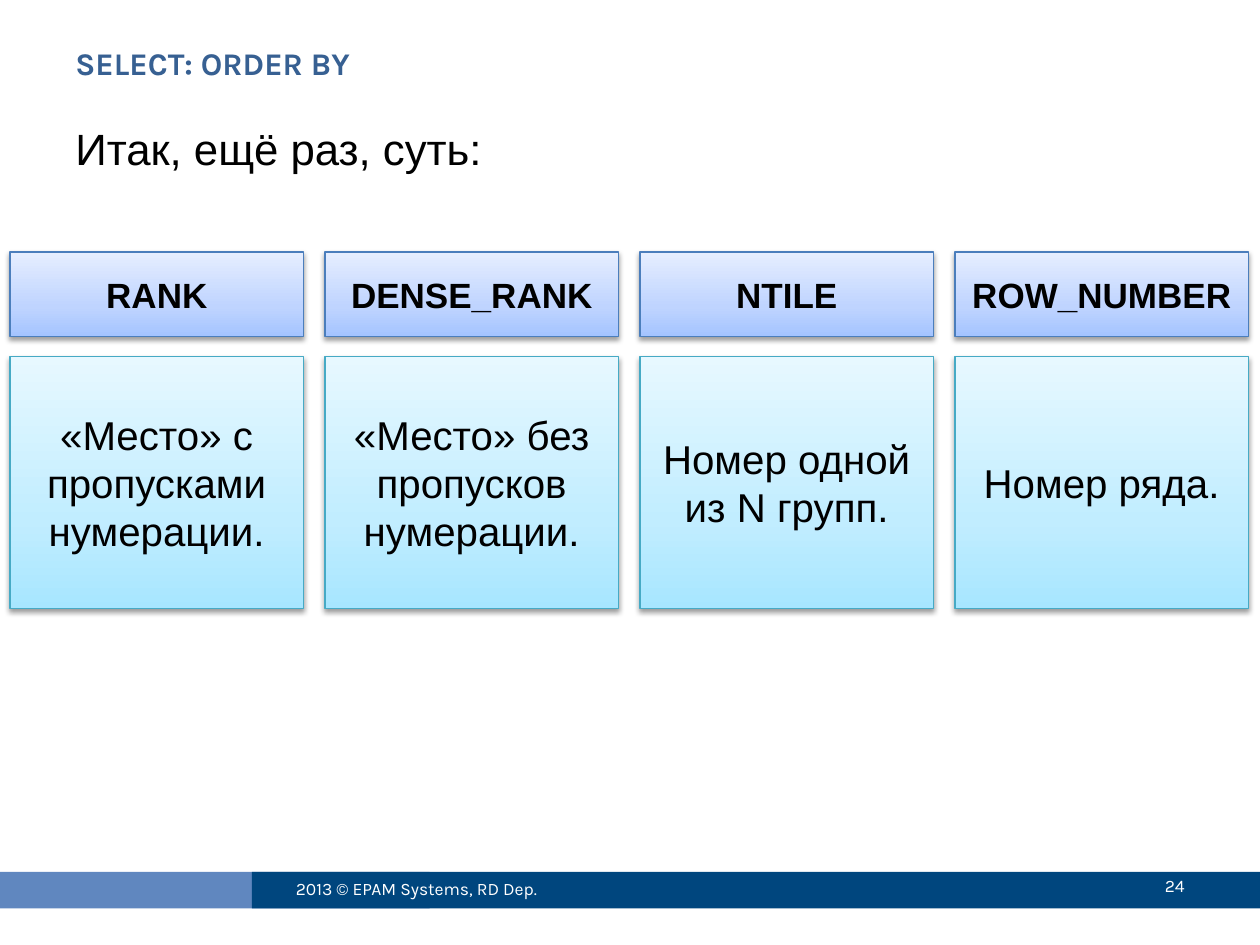
from copy import deepcopy

from lxml import etree
from pptx import Presentation
from pptx.dml import color
from pptx.enum import shapes, text
from pptx.oxml import ns
from pptx.util import Inches, Pt


def rgb(value):
    return color.RGBColor.from_string(value)


def write(shape, wording, size, font, ink, bold=False,
          align=text.PP_ALIGN.LEFT, anchor=text.MSO_ANCHOR.MIDDLE):
    frame = shape.text_frame
    frame.word_wrap = True
    frame.vertical_anchor = anchor
    frame.text = wording
    paragraph = frame.paragraphs[0]
    paragraph.alignment = align
    run = paragraph.runs[0]
    run.font.size = Pt(size)
    run.font.name = font
    run.font.bold = bold
    run.font.color.rgb = rgb(ink)


presentation = Presentation()
presentation.slide_width = Inches(10)
presentation.slide_height = Inches(7.5)
slide = presentation.slides.add_slide(presentation.slide_layouts[6])

for left, width, band_color in [(-0.02, 3.43, "6087BF"), (2, 8, "00467E")]:
    band = slide.shapes.add_shape(shapes.MSO_SHAPE.RECTANGLE, Inches(left),
                                  Inches(6.92), Inches(width), Inches(0.29))
    band.shadow.inherit = False
    band.fill.solid()
    band.fill.fore_color.rgb = rgb(band_color)
    band.line.fill.background()

top, middle = text.MSO_ANCHOR.TOP, text.MSO_ANCHOR.MIDDLE
to_left, to_right = text.PP_ALIGN.LEFT, text.PP_ALIGN.RIGHT
labels = [
    ("SELECT: ORDER BY", (0.5, 0.3, 9, 0.78), 18, "Karla", "376092", True, to_left, top),
    ("2013 © EPAM Systems, RD Dep.", (2.25, 6.85, 2.67, 0.4), 10, "Karla", "FFFFFF", False, to_left, middle),
    ("24", (8.42, 6.83, 1.08, 0.4), 10, "Karla", "FFFFFF", False, to_right, middle),
    ("Итак, ещё раз, суть:", (0.5, 0.92, 9.08, 0.52), 25, "Arial", "000000", False, to_left, top),
]
for wording, place, *style in labels:
    label = slide.shapes.add_textbox(*[Inches(length) for length in place])
    write(label, wording, *style)

functions = [
    ("RANK", "«Место» с пропусками нумерации."),
    ("DENSE_RANK", "«Место» без пропусков нумерации."),
    ("NTILE", "Номер одной из N групп."),
    ("ROW_NUMBER", "Номер ряда."),
]
rows = [
    (2, 0.67, 20, True, "4B7EBC", ["A4C4FF", "BFD4FF", "E6EEFF"]),
    (2.83, 2, 23, False, "46AAC5", ["A7E6FF", "C1EDFF", "E7F8FF"]),
]
for column, wordings in enumerate(functions):
    for wording, (y, height, size, bold, border, shades) in zip(wordings, rows):
        card = slide.shapes.add_shape(shapes.MSO_SHAPE.FLOWCHART_PROCESS,
                                      Inches(0.08 + 2.5 * column), Inches(y),
                                      Inches(2.33), Inches(height))
        card.line.color.rgb = rgb(border)
        card.line.width = Pt(0.75)

        card.fill.gradient()
        card.fill.gradient_angle = 90
        properties = card._element.spPr
        stops = properties.find(ns.qn("a:gradFill")).find(ns.qn("a:gsLst"))
        stops.append(deepcopy(stops[-1]))
        for stop, position, shade in zip(card.fill.gradient_stops, (0, 0.35, 1), shades):
            stop.position = position
            stop.color.rgb = rgb(shade)

        card.shadow.inherit = False
        effects = properties.find(ns.qn("a:effectLst"))
        shadow = etree.SubElement(effects, ns.qn("a:outerShdw"), blurRad=str(Pt(3.1)),
                                  dist=str(Pt(1.6)), dir="5400000", rotWithShape="0")
        black = etree.SubElement(shadow, ns.qn("a:srgbClr"), val="000000")
        etree.SubElement(black, ns.qn("a:alpha"), val="38000")

        write(card, wording, size, "Arial", "000000", bold, text.PP_ALIGN.CENTER)

presentation.save("out.pptx")
